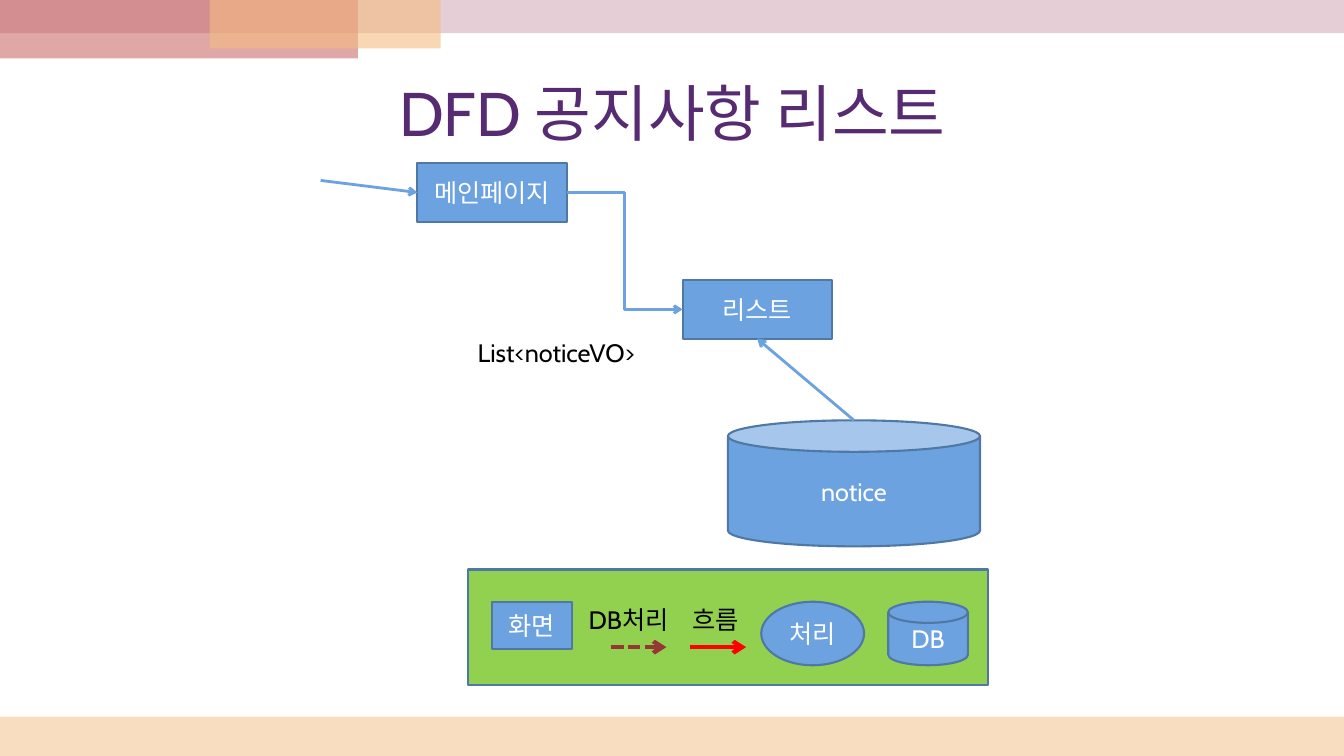
from lxml import etree
from pptx import Presentation
from pptx.dml.color import RGBColor
from pptx.enum.dml import MSO_LINE
from pptx.enum.shapes import MSO_CONNECTOR, MSO_SHAPE
from pptx.enum.text import MSO_ANCHOR, PP_ALIGN
from pptx.oxml.ns import qn
from pptx.util import Inches, Pt

RECT, CAN, OVAL = MSO_SHAPE.RECTANGLE, MSO_SHAPE.CAN, MSO_SHAPE.OVAL
DISK = MSO_SHAPE.FLOWCHART_MAGNETIC_DISK
LINE, ELBOW = MSO_CONNECTOR.STRAIGHT, MSO_CONNECTOR.ELBOW
DASH = MSO_LINE.SQUARE_DOT
LEFT, CENTER = PP_ALIGN.LEFT, PP_ALIGN.CENTER
TOP, MIDDLE = MSO_ANCHOR.TOP, MSO_ANCHOR.MIDDLE
TOP_SIDE, LEFT_SIDE, BOTTOM_SIDE, RIGHT_SIDE = range(4)

FONT = "Cabin"
WHITE = RGBColor(0xFF, 0xFF, 0xFF)
BLACK = RGBColor(0, 0, 0)
PURPLE = RGBColor(0x56, 0x2B, 0x71)
BLUE = RGBColor(0x6B, 0xA2, 0xDF)
EDGE = RGBColor(0x4F, 0x78, 0xA5)
GREEN = RGBColor(0x92, 0xD0, 0x50)
RED = RGBColor(0xFF, 0, 0)
MAROON = RGBColor(0x95, 0x37, 0x35)
PEACH = RGBColor(0xF5, 0xBC, 0x83)
PINK = RGBColor(0xCC, 0x9E, 0xAC)
BRICK = RGBColor(0xC0, 0x50, 0x4D)

# left, top, width, height, colour, opacity in percent
BANDS = [
    (0, 7.11, 13.33, 0.39, PEACH, 50),
    (0, 0, 13.33, 0.33, PINK, 50),
    (0, 0, 3.55, 0.58, BRICK, 50),
    (2.08, 0, 2.29, 0.48, PEACH, 60),
]
TITLE = ("DFD 공지사항 리스트", (0.67, 0.58, 12, 1.05))
# name: kind, place, fill, text
NODES = {
    "main": (RECT, (4.14, 1.62, 1.48, 0.58), BLUE, "메인페이지"),
    "list": (RECT, (6.77, 2.78, 1.48, 0.58), BLUE, "리스트"),
    "notice": (CAN, (7.22, 4.17, 2.5, 1.25), BLUE, "notice"),
    "legend": (RECT, (4.64, 5.65, 5.16, 1.15), GREEN, ""),
    "screen": (RECT, (4.88, 5.97, 0.79, 0.47), BLUE, "화면"),
    "db": (DISK, (8.81, 5.97, 0.79, 0.63), BLUE, "DB"),
    "process": (OVAL, (7.55, 5.97, 1.02, 0.63), BLUE, "처리"),
}
# text, place, wrap
LABELS = [
    ("List<noticeVO>", (4.64, 3.3, 1.77, 0.4), False),
    ("흐름", (6.77, 5.95, 0.71, 0.4), True),
    ("DB처리", (5.74, 5.95, 1.07, 0.4), False),
]
# kind, start, end, colour, width, dash, joined start, joined end
ARROWS = [
    (LINE, (3.18, 1.79), (4.14, 1.91), BLUE, 2, None, None, ("main", LEFT_SIDE)),
    (ELBOW, (5.62, 1.91), (6.77, 3.07), BLUE, 2, None,
     ("main", RIGHT_SIDE), ("list", LEFT_SIDE)),
    (LINE, (8.47, 4.17), (7.51, 3.36), BLUE, 2, None, None, ("list", BOTTOM_SIDE)),
    (LINE, (6.84, 6.42), (7.4, 6.42), RED, 3, None, None, None),
    (LINE, (6.06, 6.42), (6.61, 6.42), MAROON, 3, DASH, None, None),
]

prs = Presentation()
prs.slide_width, prs.slide_height = Inches(13.33), Inches(7.5)
slide = prs.slides.add_slide(prs.slide_layouts[6])
shapes = slide.shapes


def write(shape, text, size=18, color=WHITE, align=CENTER, anchor=MIDDLE, wrap=True):
    frame = shape.text_frame
    frame.word_wrap = wrap
    frame.vertical_anchor = anchor
    para = frame.paragraphs[0]
    para.alignment = align
    run = para.add_run()
    run.text = text
    run.font.name = FONT
    run.font.size = Pt(size)
    run.font.color.rgb = color


def block(kind, place, fill):
    shape = shapes.add_shape(kind, *map(Inches, place))
    shape.shadow.inherit = False
    shape.fill.solid()
    shape.fill.fore_color.rgb = fill
    return shape


def band(place, color, alpha):
    """Add a borderless strip with the given opacity."""
    shape = block(RECT, place, color)
    shape.line.fill.background()
    tint = shape._element.spPr.find(qn("a:solidFill"))[0]
    etree.SubElement(tint, qn("a:alpha")).set("val", str(alpha * 1000))


def node(kind, place, fill, text):
    """Add an outlined diagram shape."""
    shape = block(kind, place, fill)
    shape.line.color.rgb = EDGE
    shape.line.width = Pt(1.5)
    if text:
        write(shape, text)
    return shape


def arrow(kind, start, end, color, width, dash, tail, head):
    link = shapes.add_connector(kind, *map(Inches, start + end))
    if tail:
        link.begin_connect(nodes[tail[0]], tail[1])
    if head:
        link.end_connect(nodes[head[0]], head[1])
    link.line.color.rgb = color
    link.line.width = Pt(width)
    if dash:
        link.line.dash_style = dash
    props = link._element.spPr
    etree.SubElement(props.find(qn("a:ln")), qn("a:tailEnd")).set("type", "arrow")
    etree.SubElement(props, qn("a:effectLst"))


for *place, color, alpha in BANDS:
    band(place, color, alpha)

text, place = TITLE
write(shapes.add_textbox(*map(Inches, place)), text, size=44, color=PURPLE)

nodes = {name: node(*spec) for name, spec in NODES.items()}

for text, place, wrap in LABELS:
    write(shapes.add_textbox(*map(Inches, place)), text,
          color=BLACK, align=LEFT, anchor=TOP, wrap=wrap)

for spec in ARROWS:
    arrow(*spec)

prs.save("out.pptx")
